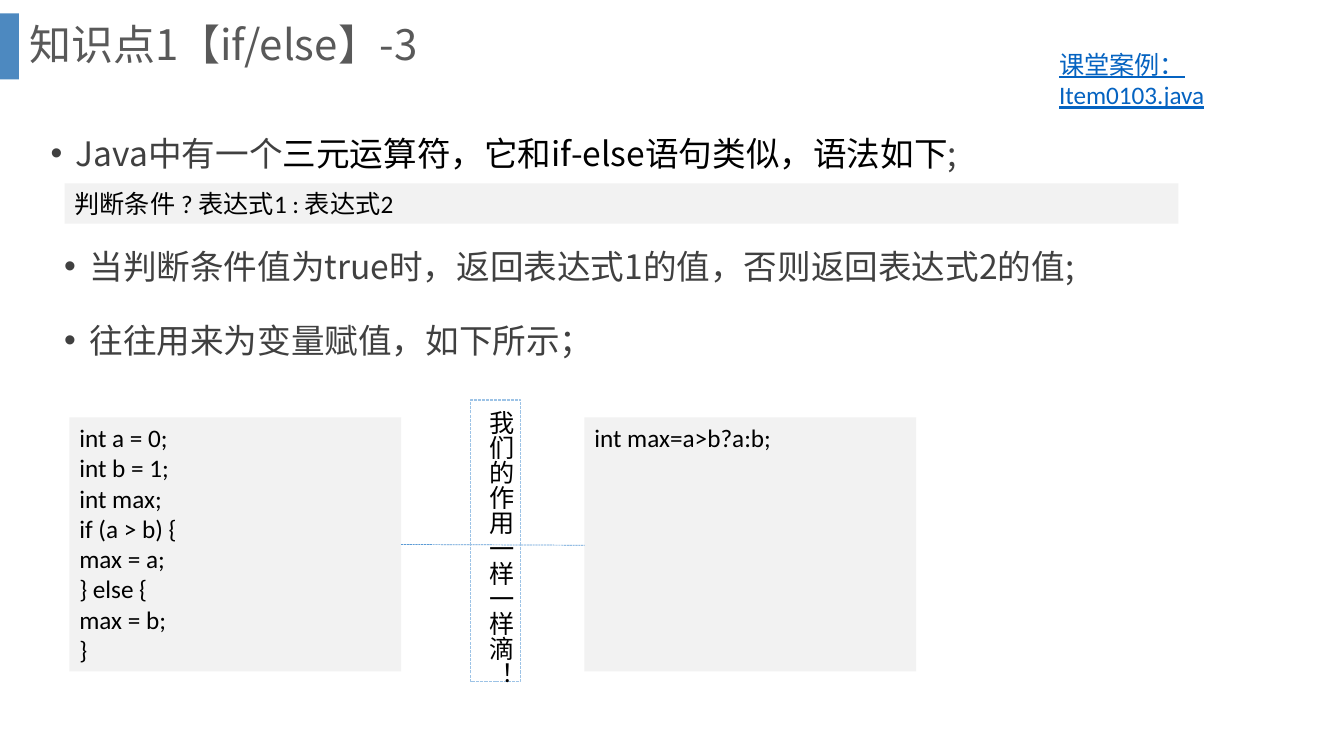
"""Build the slide on the Java ternary operator."""
from pptx import Presentation
from pptx import util as u
from pptx.dml.color import RGBColor
from pptx.enum import dml, shapes, text
from pptx.oxml import ns, xmlchemy

BAR_BLUE = RGBColor(0x2E, 0x75, 0xB6)
LINE_BLUE = RGBColor(0x5B, 0x9B, 0xD5)
FRAME_BLUE = RGBColor(0x9D, 0xC3, 0xE6)
LINK_BLUE = RGBColor(0x05, 0x63, 0xC1)
PANEL_GRAY = RGBColor(0xF2, 0xF2, 0xF2)
TITLE_GRAY = RGBColor(0x59, 0x59, 0x59)
BODY_GRAY = RGBColor(0x40, 0x40, 0x40)
BLACK = RGBColor(0, 0, 0)

HEADING = {"name": "Noto Sans CJK SC", "size": u.Pt(30), "bold": False}
LIST = {"name": "Noto Sans CJK SC", "size": u.Pt(24)}
CODE = {"name": "Calibri", "size": u.Pt(18)}
LINK = {**CODE, "underline": True}

BRANCHES = ["int a = 0;", "int b = 1;", "int max;", "if (a > b) {",
            "max = a;", "} else {", "max = b;", "}"]


class LessonSlide:
    """Hold the current slide and draw its styled elements."""

    def __init__(self, deck):
        self.slide = deck.slides.add_slide(deck.slide_layouts[1])
        self.shapes = self.slide.shapes

    def add_child(self, parent, tag, **values):
        child = xmlchemy.OxmlElement(tag)
        for key, value in values.items():
            child.set(key, value)
        parent.append(child)
        return child

    def place(self, box, place):
        for key, value in zip(("left", "top", "width", "height"), place):
            setattr(box, key, u.Cm(value))

    def fill_text(self, box, lines, style, anchor=text.MSO_ANCHOR.TOP,
                  spacing=None, bullet=False):
        frame = box.text_frame
        layout = {"word_wrap": True, "auto_size": text.MSO_AUTO_SIZE.NONE,
                  "vertical_anchor": anchor}
        for key, value in layout.items():
            setattr(frame, key, value)
        for index, spans in enumerate(lines):
            para = frame.add_paragraph() if index else frame.paragraphs[0]
            if bullet:
                props = para._p.get_or_add_pPr()
                props.set("marL", str(u.Cm(0.635)))
                props.set("indent", str(u.Cm(-0.635)))
                self.add_child(props, "a:buFont", typeface="Arial")
                self.add_child(props, "a:buChar", char="•")
            settings = {"alignment": text.PP_ALIGN.LEFT,
                        "line_spacing": spacing,
                        "space_before": u.Pt(10 if bullet and index else 0)}
            for key, value in settings.items():
                setattr(para, key, value)
            for words, color in spans:
                self.add_span(para, words, color, style)

    def add_span(self, para, words, color, style):
        span = para.add_run()
        span.text = words
        for key, value in style.items():
            setattr(span.font, key, value)
        span.font.color.rgb = color
        latin = span._r.rPr.find(ns.qn("a:latin"))
        asian = xmlchemy.OxmlElement("a:ea")
        asian.set("typeface", style["name"])
        latin.addnext(asian)

    def title(self, words, place):
        box = self.shapes.title
        self.place(box, place)
        self.fill_text(box, [[(words, TITLE_GRAY)]], HEADING,
                       text.MSO_ANCHOR.MIDDLE, 0.9)

    def body(self, lines, place):
        box = self.slide.placeholders[1]
        self.place(box, place)
        self.fill_text(box, lines, LIST, spacing=1.5, bullet=True)

    def text_box(self, lines, place, style, **layout):
        box = self.shapes.add_textbox(*map(u.Cm, place))
        self.fill_text(box, lines, style, **layout)

    def rectangle(self, place, fill=None):
        box = self.shapes.add_shape(shapes.MSO_SHAPE.RECTANGLE,
                                    *map(u.Cm, place))
        box.shadow.inherit = False
        box.line.fill.background()
        if fill is None:
            box.fill.background()
        else:
            box.fill.solid()
            box.fill.fore_color.rgb = fill
        return box

    def accent_bar(self, place):
        bar = self.rectangle(place, BAR_BLUE)
        color = bar._element.spPr.find(".//" + ns.qn("a:srgbClr"))
        self.add_child(color, "a:alpha", val="85000")

    def code_panel(self, lines, place):
        panel = self.rectangle(place, PANEL_GRAY)
        self.fill_text(panel, [[(line, BLACK)] for line in lines], CODE)

    def stroke(self, line, color, width):
        line.color.rgb = color
        line.width = u.Pt(width)
        line.dash_style = dml.MSO_LINE.SQUARE_DOT

    def vertical_note(self, words, place):
        note = self.rectangle(place)
        self.stroke(note.line, FRAME_BLUE, 0.75)
        self.fill_text(note, [[(words, BLACK)]], CODE)
        note.text_frame._txBody.bodyPr.set("vert", "eaVert")

    def link_line(self, *ends):
        line = self.shapes.add_connector(shapes.MSO_CONNECTOR.STRAIGHT,
                                         *map(u.Cm, ends))
        self.stroke(line.line, LINE_BLUE, 0.5)
        self.add_child(line._element.spPr, "a:effectLst")


def main():
    deck = Presentation()
    deck.slide_width, deck.slide_height = u.Cm(33.87), u.Cm(19.05)
    lesson = LessonSlide(deck)
    lesson.accent_bar((0, 0.34, 0.48, 1.66))
    lesson.title("知识点1【if/else】-3", (0.48, 0, 32.16, 2.36))
    lesson.body([[("Java中有一个", BODY_GRAY),
                  ("三元运算符，它和if-else语句类似，语法如下", BLACK),
                  (";", BODY_GRAY)]], (1.02, 2.72, 30.61, 1.7))
    lesson.code_panel(["判断条件 ? 表达式1 : 表达式2"], (1.63, 4.62, 28.07, 1.02))
    points = ["当判断条件值为true时，返回表达式1的值，否则返回表达式2的值;",
              "往往用来为变量赋值，如下所示；"]
    lesson.text_box([[(point, BODY_GRAY)] for point in points],
                    (1.37, 5.56, 30.61, 4.06), LIST, spacing=1.5, bullet=True)

    panel_top, panel_width, panel_height = 10.52, 8.36, 6.4
    left, right = 1.75, 14.73
    for lines, start in ((BRANCHES, left), (["int max=a>b?a:b;"], right)):
        lesson.code_panel(lines, (start, panel_top, panel_width, panel_height))
    middle = panel_top + panel_height / 2
    lesson.link_line(left + panel_width, middle, right, middle + 0.02)
    lesson.vertical_note("我们的作用一样一样滴！", (11.86, 10.08, 1.27, 7.09))
    lesson.text_box([[("课堂案例：Item0103.java", LINK_BLUE)]],
                    (26.44, 1.12, 5.79, 1.8), LINK)
    deck.save("out.pptx")


if __name__ == "__main__":
    main()
